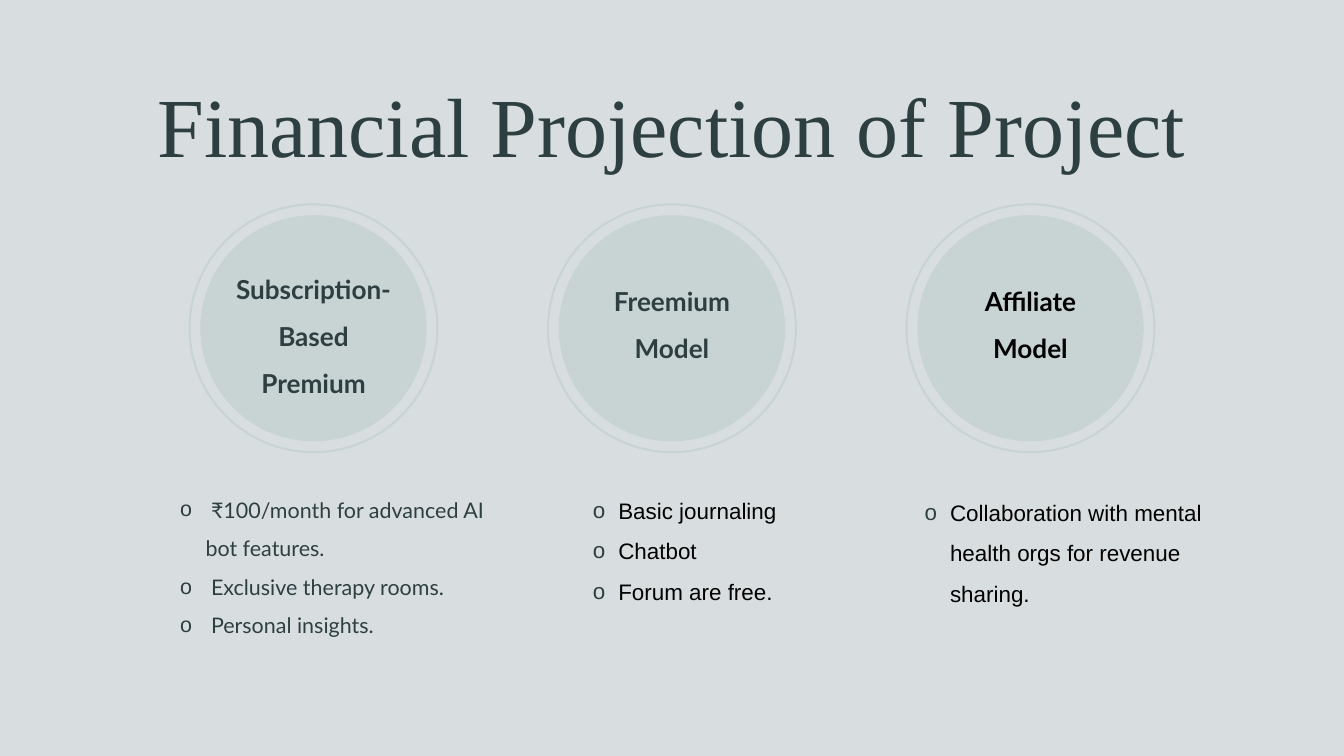
from dataclasses import dataclass

from lxml.etree import SubElement
from pptx import Presentation
from pptx.dml.color import RGBColor
from pptx.enum.shapes import MSO_SHAPE
from pptx.enum.text import MSO_ANCHOR, MSO_AUTO_SIZE, PP_ALIGN
from pptx.oxml.ns import qn
from pptx.shapes.base import BaseShape
from pptx.slide import Slide
from pptx.text.text import TextFrame, _Paragraph as Para
from pptx.util import Cm, Pt


@dataclass(frozen=True)
class Theme:
    background: str = "D8DEDF"
    accent: str = "C8D3D4"
    dark: str = "2E3F42"
    black: str = "000000"
    title_font: str = "Times New Roman"
    label_font: str = "Lato"
    plain_font: str = "Arial"
    title_size: float = 90
    label_size: float = 28
    spacing: float = 1.5
    ring_width: float = 2.25


@dataclass(frozen=True)
class Box:
    left: float
    top: float
    width: float
    height: float


@dataclass(frozen=True)
class RevenueModel:
    name: str
    name_color: str
    name_top: float
    name_height: float
    points: list[str]
    points_box: Box
    points_font: str
    points_size: float
    points_color: str


THEME = Theme()
FIRST_CENTER, CENTER_STEP, CENTER_Y = 11.85, 13.55, 12.41
RING, DISC, LABEL_WIDTH = 9.37, 8.55, 6.25

MODELS = [
    RevenueModel(
        "Subscription-Based Premium", THEME.dark, 9.73, 5.38,
        [" ₹100/month for advanced AI bot features.", " Exclusive therapy rooms.",
         " Personal insights."],
        Box(6.12, 18.29, 12.65, 5.89), THEME.label_font, 23, THEME.dark),
    RevenueModel(
        "Freemium Model", THEME.dark, 10.21, 3.58,
        ["Basic journaling", "Chatbot", "Forum are free."],
        Box(21.72, 18.29, 8.08, 4.62), THEME.plain_font, 24, THEME.black),
    RevenueModel(
        "Affiliate Model", THEME.black, 10.21, 3.58,
        ["Collaboration with mental health orgs for revenue sharing."],
        Box(34.26, 18.36, 12.19, 4.62), THEME.plain_font, 24, THEME.black),
]


def color(value: str) -> RGBColor:
    return RGBColor.from_string(value)


def place(shape: BaseShape, box: Box) -> None:
    shape.left, shape.top = Cm(box.left), Cm(box.top)
    shape.width, shape.height = Cm(box.width), Cm(box.height)


def prepare_frame(frame: TextFrame) -> None:
    frame.word_wrap = True
    frame.auto_size = MSO_AUTO_SIZE.NONE
    frame.vertical_anchor = MSO_ANCHOR.TOP
    frame.margin_left = frame.margin_right = 0
    frame.margin_top = frame.margin_bottom = 0


def add_text_box(page: Slide, box: Box) -> TextFrame:
    shape = page.shapes.add_textbox(
        Cm(box.left), Cm(box.top), Cm(box.width), Cm(box.height))
    prepare_frame(shape.text_frame)
    return shape.text_frame


def add_span(para: Para, text: str, font: str, size: float, ink: str,
             bold: bool = False) -> None:
    span = para.add_run()
    span.text = text
    span.font.name, span.font.size, span.font.bold = font, Pt(size), bold
    span.font.color.rgb = color(ink)


def add_bullet(para: Para) -> None:
    """Give the paragraph a hanging indent and a dark "o" as its bullet."""
    properties = para._p.get_or_add_pPr()
    properties.set("marL", str(Cm(1.65)))
    properties.set("indent", str(Cm(-0.96)))
    tint = SubElement(properties, qn("a:buClr"))
    SubElement(tint, qn("a:srgbClr"), val=THEME.dark)
    SubElement(properties, qn("a:buFont"), typeface=THEME.plain_font)
    SubElement(properties, qn("a:buChar"), char="o")


def add_circle(page: Slide, center_x: float, diameter: float) -> BaseShape:
    circle = page.shapes.add_shape(
        MSO_SHAPE.OVAL, Cm(center_x - diameter / 2), Cm(CENTER_Y - diameter / 2),
        Cm(diameter), Cm(diameter))
    circle.shadow.inherit = False
    return circle


def add_badge(page: Slide, model: RevenueModel, center_x: float) -> None:
    ring = add_circle(page, center_x, RING)
    ring.fill.background()
    ring.line.color.rgb = color(THEME.accent)
    ring.line.width = Pt(THEME.ring_width)

    disc = add_circle(page, center_x, DISC)
    disc.fill.solid()
    disc.fill.fore_color.rgb = color(THEME.accent)
    disc.line.fill.background()

    label = Box(center_x - LABEL_WIDTH / 2, model.name_top, LABEL_WIDTH, model.name_height)
    para = add_text_box(page, label).paragraphs[0]
    para.alignment = PP_ALIGN.CENTER
    para.line_spacing = THEME.spacing
    add_span(para, model.name, THEME.label_font, THEME.label_size,
             model.name_color, bold=True)


def add_points(page: Slide, model: RevenueModel) -> None:
    frame = add_text_box(page, model.points_box)
    for index, point in enumerate(model.points):
        para = frame.add_paragraph() if index else frame.paragraphs[0]
        para.level = 1
        para.line_spacing = THEME.spacing
        add_bullet(para)
        add_span(para, point, model.points_font, model.points_size, model.points_color)


def set_title(page: Slide, text: str) -> None:
    title = page.shapes.title
    place(title, Box(2.41, 2.67, 45.97, 3.96))
    prepare_frame(title.text_frame)
    para = title.text_frame.paragraphs[0]
    para.alignment = PP_ALIGN.CENTER
    para.line_spacing = 1.03
    add_span(para, text, THEME.title_font, THEME.title_size, THEME.dark)


def main() -> None:
    deck = Presentation()
    deck.slide_width, deck.slide_height = Cm(50.8), Cm(28.58)
    page = deck.slides.add_slide(deck.slide_layouts[5])
    page.background.fill.solid()
    page.background.fill.fore_color.rgb = color(THEME.background)

    set_title(page, "Financial Projection of Project")
    for index, model in enumerate(MODELS):
        add_badge(page, model, FIRST_CENTER + index * CENTER_STEP)
        add_points(page, model)
    deck.save("out.pptx")


if __name__ == "__main__":
    main()
